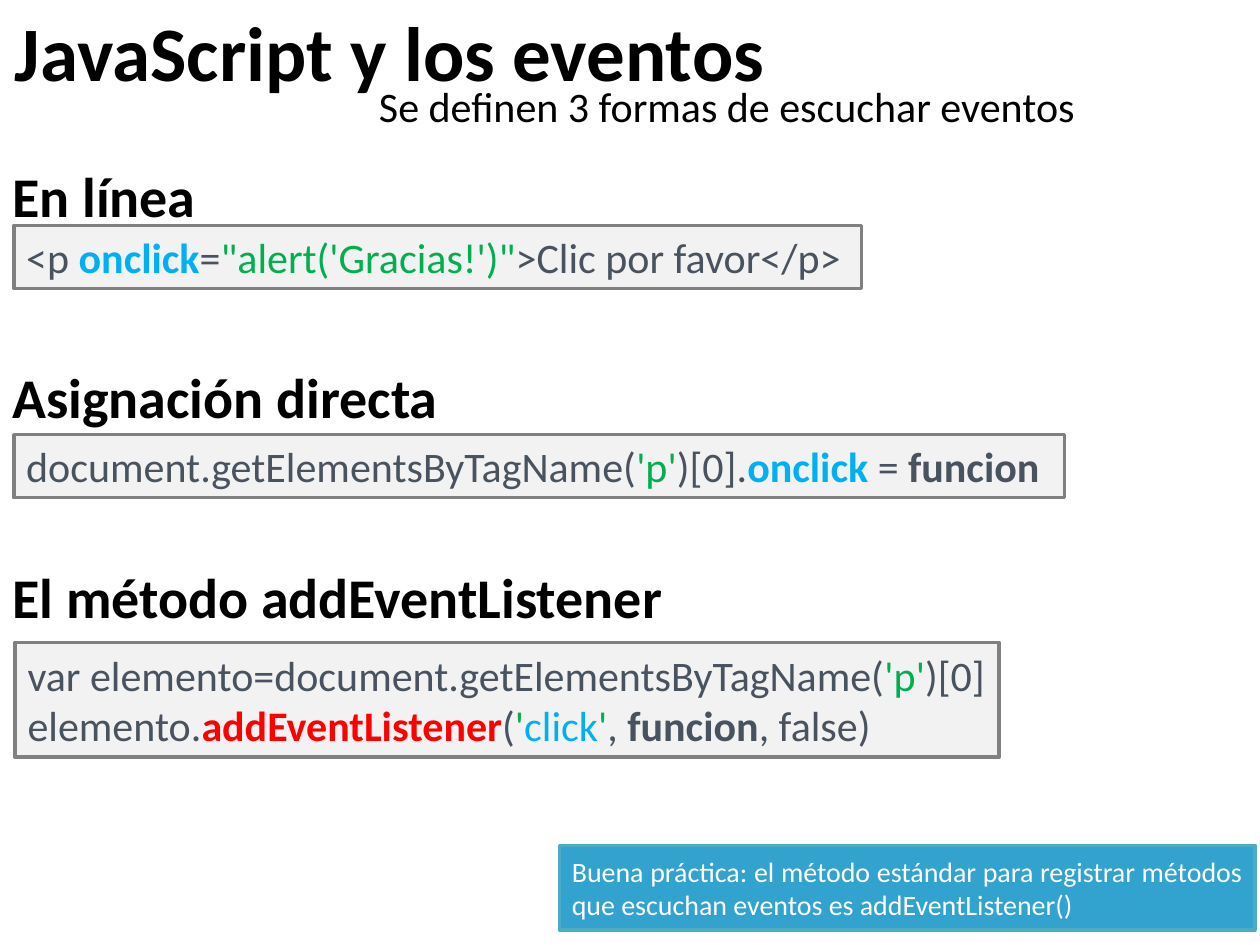
from pptx import Presentation
from pptx.dml.color import RGBColor
from pptx.enum.shapes import MSO_SHAPE
from pptx.enum.text import MSO_ANCHOR, PP_ALIGN
from pptx.util import Inches, Pt

# Grid: 100 columns by 75 rows on a 10 x 7.5 inch slide
COLS, ROWS = 100, 75
deck = Presentation()
deck.slide_width, deck.slide_height = Inches(10), Inches(7.5)

BLACK, WHITE, SLATE = "000000", "FFFFFF", "49535F"
GREEN, BLUE, RED = "00B050", "00B0F0", "FF0000"


def color(code):
    return RGBColor.from_string(code)


def place(box):
    """Turn (column, row, columns, rows) into slide lengths."""
    wide, high = deck.slide_width / COLS, deck.slide_height / ROWS
    return [round(n * unit) for n, unit in zip(box, (wide, high, wide, high))]


def write(shape, lines, size=24, ink=BLACK, bold=False,
          align=PP_ALIGN.LEFT, anchor=MSO_ANCHOR.TOP, gap=0):
    """Each line is a list of runs: (text, colour or None, bold or None)."""
    frame = shape.text_frame
    frame.word_wrap = True
    frame.vertical_anchor = anchor
    for i, line in enumerate(lines):
        para = frame.paragraphs[0] if i == 0 else frame.add_paragraph()
        para.alignment = align
        para.space_before = Pt(gap if i else 0)
        for text, tint, heavy in line:
            run = para.add_run()
            run.text = text
            font = run.font
            font.name, font.size = "Calibri", Pt(size)
            font.bold = bold if heavy is None else heavy
            font.color.rgb = color(tint or ink)


def plain(text):
    return [(text, None, None)]


def label(slide, box, lines, **style):
    write(slide.shapes.add_textbox(*place(box)), lines, **style)


def panel(slide, box, lines, fill, edge, **style):
    shape = slide.shapes.add_shape(MSO_SHAPE.RECTANGLE, *place(box))
    shape.shadow.inherit = False
    shape.fill.solid()
    shape.fill.fore_color.rgb = color(fill)
    shape.line.color.rgb = color(edge)
    shape.line.width = Pt(2)
    write(shape, lines, anchor=MSO_ANCHOR.MIDDLE, **style)


def header(slide, box):
    left, top, wide, high = box
    label(slide, (left, top, wide * 0.83, high * 0.76),
          [plain("JavaScript y los eventos")], size=44, bold=True)
    label(slide, (left + 28.9, top + 6, wide * 0.67, high * 0.45),
          [plain("Se definen 3 formas de escuchar eventos")])


def code(slide, box, lines):
    panel(slide, box, lines, "F2F2F2", "808080", ink=SLATE)


def ways(slide, box):
    left, top, wide, high = box
    # Headings, evenly spaced
    names = ["En línea", "Asignación directa", "El método addEventListener"]
    label(slide, box, [plain(name) for name in names],
          size=32, bold=True, gap=76.4)

    # Code samples
    event = ("onclick", BLUE, True)
    tag = ("'p'", GREEN, None)
    quote = ("'", GREEN, None)
    call = ("funcion", None, True)
    find = "document.getElementsByTagName("
    edge = left + 1.1
    code(slide, (edge, top + 5.6, 67.3, 5),
         [[("<p ", None, None), event, ("=", None, None),
           ("\"alert('Gracias!')\"", GREEN, None),
           (">Clic por favor</p>", None, None)]])
    code(slide, (edge, top + 22.2, 83.4, 5),
         [[(find, None, None), tag, (")[0].", None, None), event,
           (" = ", None, None), call]])
    code(slide, (edge + 0.1, top + high, 78.1, 9.1),
         [[("var elemento=" + find, None, None), tag, (")[0]", None, None)],
          [("elemento.", None, None), ("addEventListener", RED, True),
           ("(", None, None), quote, ("click", BLUE, None), quote,
           (", ", None, None), call, (", false)", None, None)]])


def note(slide, box):
    text = ("Buena práctica: el método estándar para registrar métodos "
            "que escuchan eventos es addEventListener()")
    panel(slide, box, [plain(text)], "32A3CE", "4BACC6",
          size=16, ink=WHITE, align=PP_ALIGN.JUSTIFY)


def main():
    slide = deck.slides.add_slide(deck.slide_layouts[6])
    header(slide, (0.2, -0.1, 88, 11))
    ways(slide, (0, 12.3, 100, 38.7))
    note(slide, (44.4, 67.1, 55.2, 6.7))
    deck.save("out.pptx")


if __name__ == "__main__":
    main()
